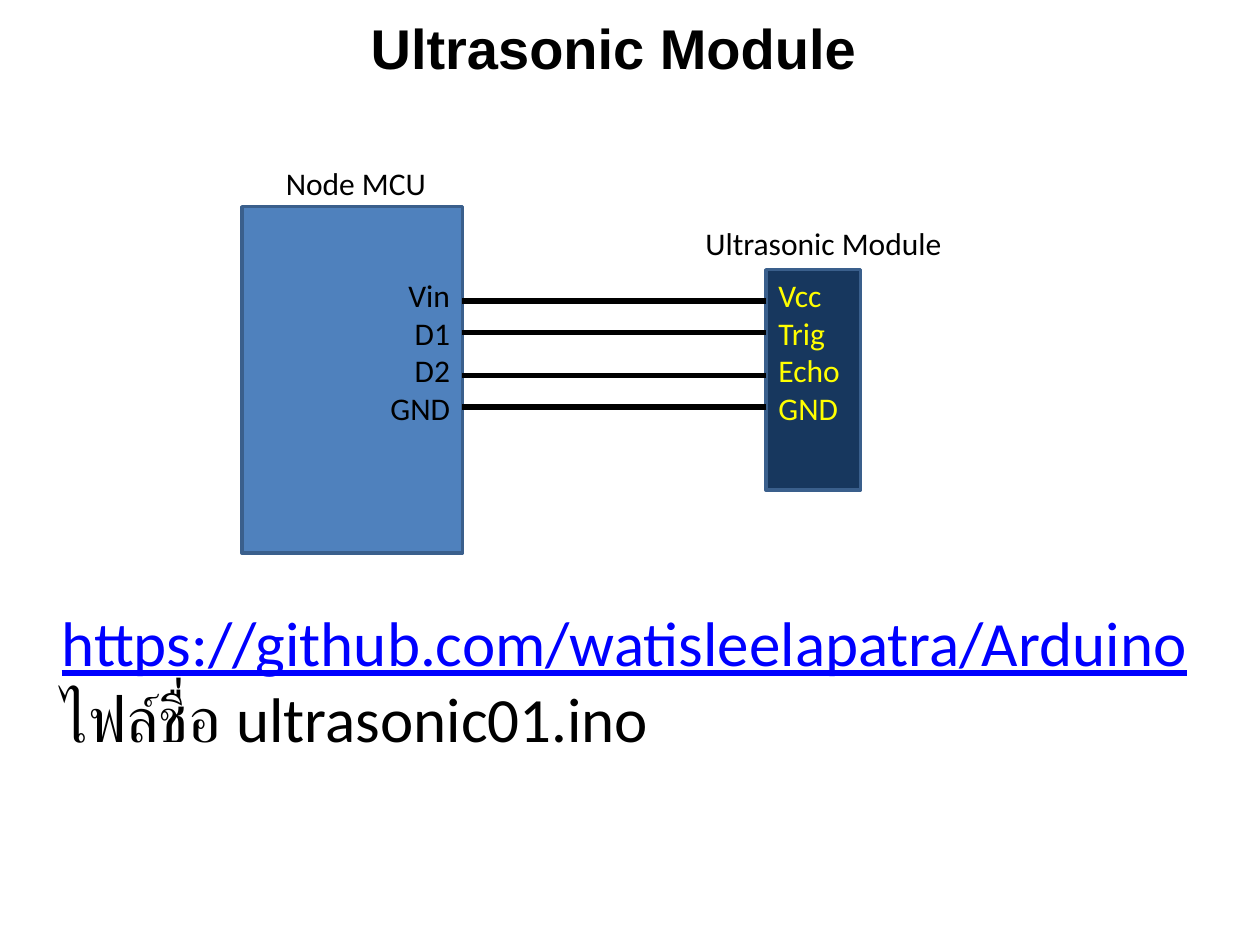
from pptx import Presentation
from pptx.dml.color import RGBColor
from pptx.enum.shapes import MSO_CONNECTOR, MSO_SHAPE
from pptx.enum.text import MSO_ANCHOR, PP_ALIGN
from pptx.oxml.ns import qn
from pptx.util import Inches, Pt
from lxml import etree

LEFT, RIGHT, CENTER = PP_ALIGN.LEFT, PP_ALIGN.RIGHT, PP_ALIGN.CENTER
TOP, MIDDLE = MSO_ANCHOR.TOP, MSO_ANCHOR.MIDDLE
RECTANGLE, STRAIGHT = MSO_SHAPE.RECTANGLE, MSO_CONNECTOR.STRAIGHT

BLACK = RGBColor(0x00, 0x00, 0x00)
YELLOW = RGBColor(0xFF, 0xFF, 0x00)
LINK_BLUE = RGBColor(0x00, 0x00, 0xFF)
BOARD_BLUE = RGBColor(0x4F, 0x81, 0xBD)
MODULE_NAVY = RGBColor(0x17, 0x37, 0x5E)
EDGE_BLUE = RGBColor(0x3A, 0x5F, 0x8C)

BOARD_LEFT, BOARD_RIGHT = 1.92, 3.67
MODULE_LEFT, MODULE_WIDTH = 6.08, 0.75
PIN_TOP, PIN_HEIGHT = 2.14, 1.31
WIRE_YS = (2.39, 2.64, 2.98, 3.23)


def place(shape, left, top, width, height):
    shape.left, shape.top = Inches(left), Inches(top)
    shape.width, shape.height = Inches(width), Inches(height)


def format_paragraph(p, size, color=BLACK, align=LEFT, name="Calibri"):
    p.alignment = align
    p.font.name, p.font.size = name, Pt(size)
    p.font.color.rgb = color


def add_title(s, text):
    title = s.shapes.title
    place(title, 2.83, 0.05, 4.08, 0.64)
    tf = title.text_frame
    tf.text = text
    tf.word_wrap = False
    tf.vertical_anchor = MIDDLE
    p = tf.paragraphs[0]
    format_paragraph(p, 32, align=CENTER, name="Arial")
    p.font.bold = True


def add_text(s, box, lines, size=18, color=BLACK, align=LEFT):
    tf = s.shapes.add_textbox(*map(Inches, box)).text_frame
    tf.word_wrap = False
    tf.vertical_anchor = TOP
    tf.text = "\n".join(lines)
    for p in tf.paragraphs:
        format_paragraph(p, size, color, align)
    return tf


def add_block(s, box, fill):
    block = s.shapes.add_shape(RECTANGLE, *map(Inches, box))
    block.shadow.inherit = False
    block.fill.solid()
    block.fill.fore_color.rgb = fill
    block.line.color.rgb = EDGE_BLUE
    block.line.width = Pt(2)


def add_wire(s, y):
    wire = s.shapes.add_connector(
        STRAIGHT, Inches(MODULE_LEFT), Inches(y), Inches(BOARD_RIGHT), Inches(y))
    wire.line.color.rgb = BLACK
    wire.line.width = Pt(3)
    etree.SubElement(wire._element.spPr, qn("a:effectLst"))


def add_wiring(s):
    add_block(s, (BOARD_LEFT, 1.64, BOARD_RIGHT - BOARD_LEFT, 2.75), BOARD_BLUE)
    add_block(s, (MODULE_LEFT, PIN_TOP, MODULE_WIDTH, 1.75), MODULE_NAVY)
    for y in WIRE_YS:
        add_wire(s, y)
    add_text(s, (MODULE_LEFT, PIN_TOP, 0.69, PIN_HEIGHT),
             ("Vcc", "Trig", "Echo", "GND"), color=YELLOW)
    add_text(s, (BOARD_RIGHT - 0.68, PIN_TOP, 0.68, PIN_HEIGHT),
             ("Vin", "D1", "D2", "GND"), align=RIGHT)
    add_text(s, (2.17, 1.25, 1.33, 0.4), ("Node MCU",))
    add_text(s, (5.5, 1.73, 2.1, 0.4), ("Ultrasonic Module",))


def add_source(s):
    tf = add_text(s, (0.39, 4.74, 9.23, 1.31),
                  ("https://github.com/watisleelapatra/Arduino",
                   "ไฟล์ชื่อ ultrasonic01.ino"), size=36)
    address = tf.paragraphs[0]
    address.font.color.rgb = LINK_BLUE
    address.font.underline = True


def main():
    prs = Presentation()
    prs.slide_width, prs.slide_height = Inches(10), Inches(7.5)
    s = prs.slides.add_slide(prs.slide_layouts[5])
    add_title(s, "Ultrasonic Module")
    add_wiring(s)
    add_source(s)
    prs.save("out.pptx")


if __name__ == "__main__":
    main()
